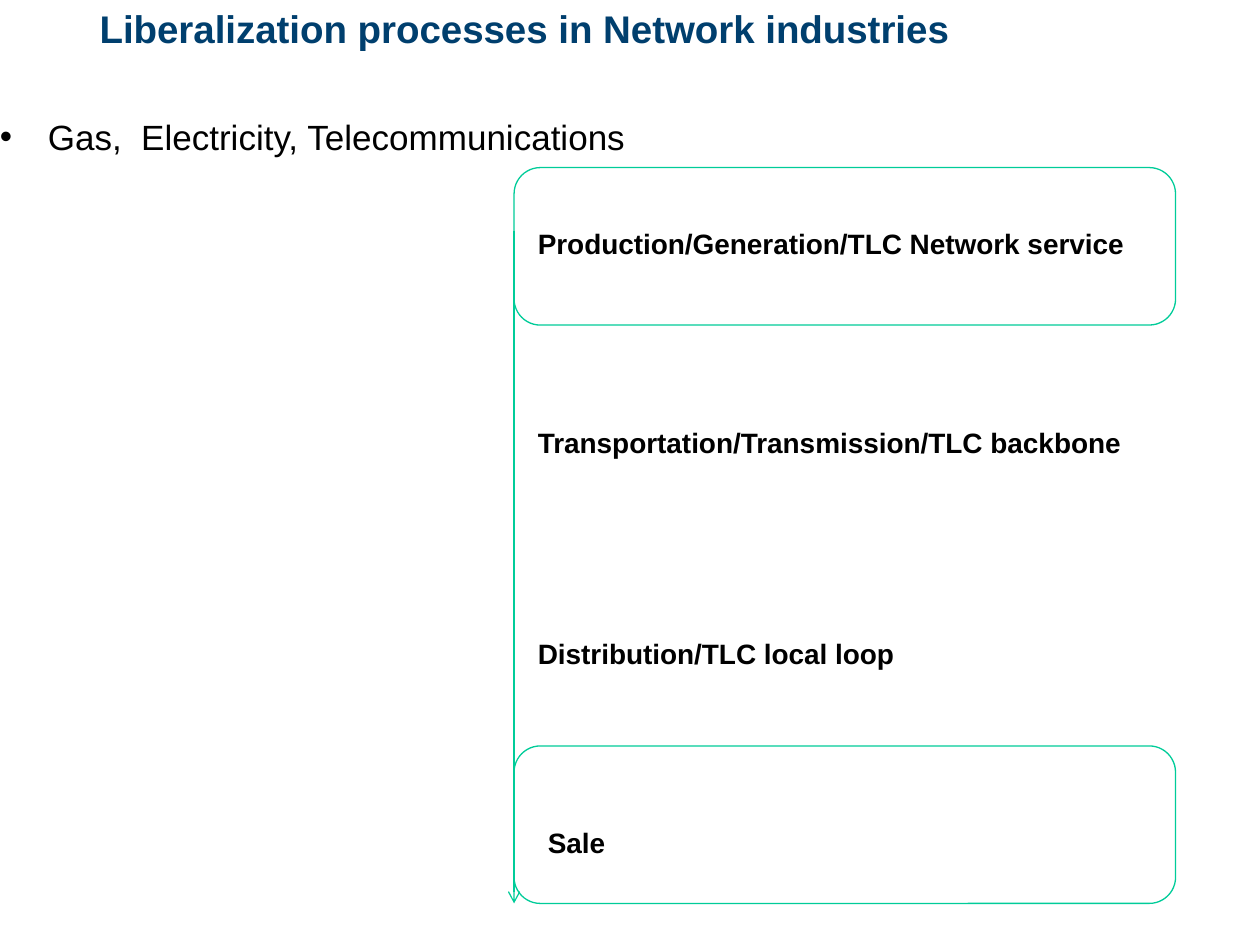
"""Build a slide on the liberalization stages of network industries."""
import pptx
import pptx.dml.color
import pptx.enum.shapes
import pptx.enum.text
import pptx.oxml.ns
import pptx.util
from lxml import etree
from pptx.util import Inches

COLOURS = {"title": "003F6E", "text": "000000", "outline": "00CC99"}


def add_span(para, text, size, colour, bold):
    span = para.add_run()
    span.text = text
    span.font.name = "Arial"
    span.font.size = pptx.util.Pt(size)
    span.font.bold = bold
    span.font.color.rgb = pptx.dml.color.RGBColor.from_string(COLOURS[colour])


def prepare_frame(box, inset_x, inset_y):
    frame = box.text_frame
    frame.word_wrap = True
    frame.auto_size = pptx.enum.text.MSO_AUTO_SIZE.NONE
    frame.vertical_anchor = pptx.enum.text.MSO_ANCHOR.TOP
    frame.margin_left = frame.margin_right = Inches(inset_x)
    frame.margin_top = frame.margin_bottom = Inches(inset_y)
    para = frame.paragraphs[0]
    para.alignment = pptx.enum.text.PP_ALIGN.LEFT
    return para


deck = pptx.Presentation()
deck.slide_width, deck.slide_height = Inches(10), Inches(7.5)
page = deck.slides.add_slide(deck.slide_layouts[5])
outline = pptx.dml.color.RGBColor.from_string(COLOURS["outline"])

title = page.shapes.title
title.left, title.top = Inches(0.79), Inches(0.04)
title.width, title.height = Inches(7.38), Inches(0.92)
para = prepare_frame(title, 0, 0)
add_span(para, "Liberalization processes in Network industries", 22, "title", True)

stages = [
    ("Production/Generation/TLC Network service", 4.17, 1.75),
    ("Transportation/Transmission/TLC backbone", 4.17, 3.33),
    ("Distribution/TLC local loop", 4.17, 5),
    ("Sale", 4.25, 6.5),
]
for label, left, top in stages:
    box = page.shapes.add_textbox(Inches(left), Inches(top), Inches(5.33), Inches(0.37))
    para = prepare_frame(box, 0.1, 0.05)
    box.text_frame.auto_size = pptx.enum.text.MSO_AUTO_SIZE.SHAPE_TO_FIT_TEXT
    add_span(para, label, 16, "text", True)

arrow = page.shapes.add_connector(
    pptx.enum.shapes.MSO_CONNECTOR.STRAIGHT,
    Inches(4.08), Inches(1.83), Inches(4.08), Inches(7.17),
)
arrow.line.color.rgb = outline
arrow.line.width = pptx.util.Pt(0.75)
etree.SubElement(arrow.line._get_or_add_ln(), pptx.oxml.ns.qn("a:tailEnd"), type="arrow")
etree.SubElement(arrow._element.spPr, pptx.oxml.ns.qn("a:effectLst"))

for top in (1.33, 5.92):
    frame_shape = page.shapes.add_shape(
        pptx.enum.shapes.MSO_SHAPE.ROUNDED_RECTANGLE,
        Inches(4.08), Inches(top), Inches(5.25), Inches(1.25),
    )
    frame_shape.shadow.inherit = False
    frame_shape.fill.background()
    frame_shape.line.color.rgb = outline
    frame_shape.line.width = pptx.util.Pt(0.75)

industries = page.shapes.add_textbox(Inches(0), Inches(0.92), Inches(9), Inches(5.42))
para = prepare_frame(industries, 0, 0)
add_span(para, "Gas,  Electricity, Telecommunications", 20, "text", False)
properties = para._p.get_or_add_pPr()
properties.set("marL", str(Inches(0.38)))
properties.set("indent", str(Inches(-0.38)))
etree.SubElement(properties, pptx.oxml.ns.qn("a:buFont"), typeface="Arial")
etree.SubElement(properties, pptx.oxml.ns.qn("a:buChar"), char="•")

deck.save("out.pptx")
